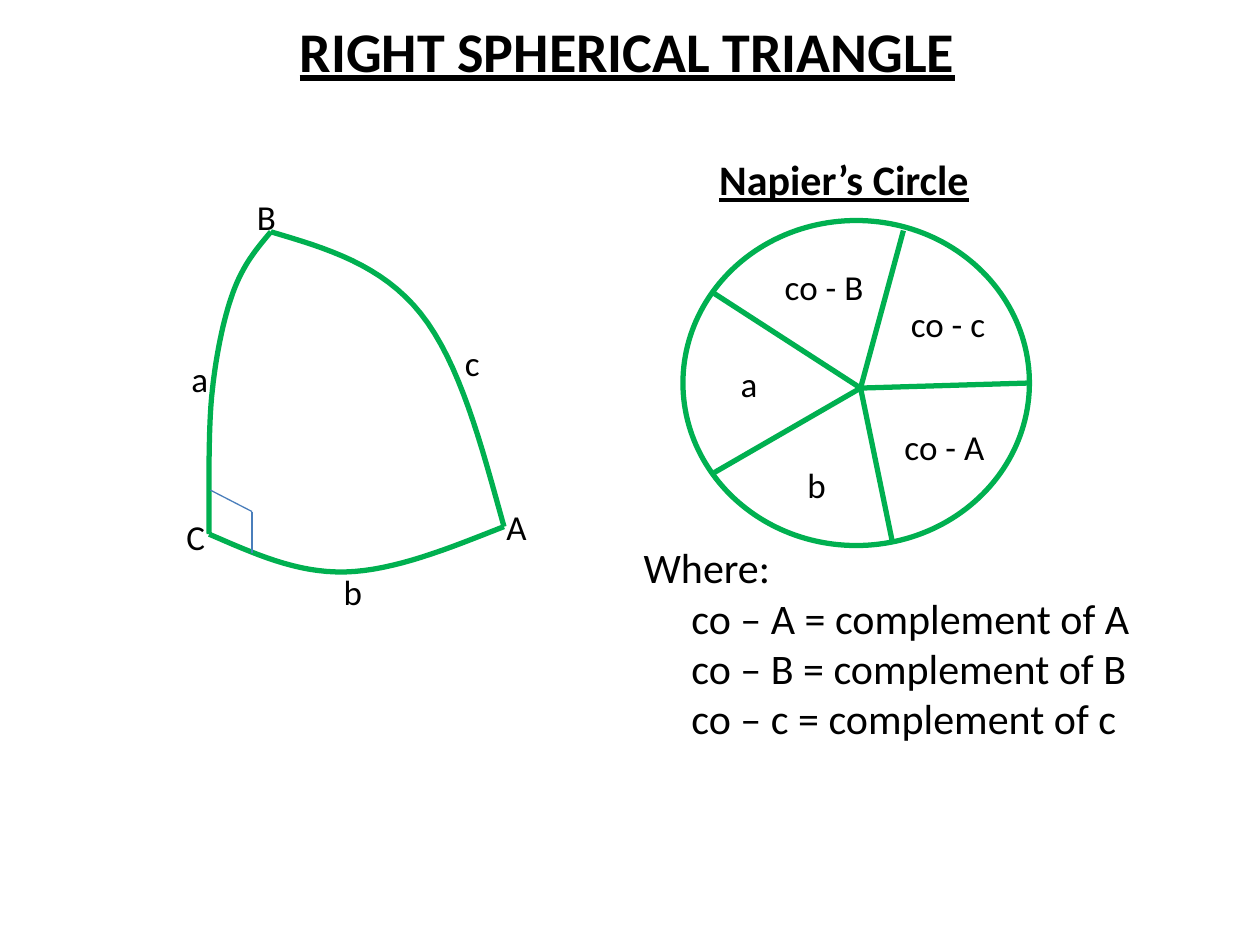
from typing import NamedTuple

from lxml.etree import SubElement
from pptx import Presentation
from pptx.dml.color import RGBColor
from pptx.enum.shapes import MSO_CONNECTOR, MSO_SHAPE
from pptx.enum.text import MSO_ANCHOR, MSO_AUTO_SIZE, PP_ALIGN
from pptx.oxml.ns import qn
from pptx.util import Inches, Pt

COLORS = {"text": "000000", "figure": "00B050", "right_angle": "4A7EBB"}
FONT = "Calibri"
LABEL_HEIGHT = 0.44
CURVE_STEPS = 16


class Point(NamedTuple):
    x: float
    y: float


class Label(NamedTuple):
    text: str
    left: float
    top: float
    width: float


class Arc(NamedTuple):
    """A chain of cubic Bezier curves: a start, then three points per curve."""
    points: list[tuple[float, float]]


VERTEX_A, VERTEX_B, VERTEX_C = Point(4, 4.18), Point(2.15, 1.84), Point(1.66, 4.24)
SIDES = [
    Arc([VERTEX_B, (2.04, 1.97), (1.93, 2.1), (1.85, 2.32),
         (1.77, 2.54), (1.71, 2.84), (1.68, 3.15),
         (1.65, 3.47), (1.66, 4.05), VERTEX_C]),
    Arc([VERTEX_B, (2.59, 1.97), (3.03, 2.1), (3.34, 2.49),
         (3.65, 2.88), (3.82, 3.53), VERTEX_A]),
    Arc([VERTEX_C, (2.01, 4.39), (2.35, 4.55), (2.74, 4.54),
         (3.13, 4.53), (3.57, 4.35), VERTEX_A]),
]
RIGHT_ANGLE = [Point(1.67, 3.89), Point(2, 4.06), Point(2, 4.39)]
TRIANGLE_LABELS = [
    Label("a", 1.42, 2.79, 0.33),
    Label("c", 3.59, 2.66, 0.32),
    Label("b", 2.63, 4.48, 0.34),
    Label("B", 1.94, 1.5, 0.35),
    Label("A", 3.92, 3.96, 0.36),
    Label("C", 1.38, 4.04, 0.35),
]

HUB = Point(6.83, 3.08)
SPOKE_ENDS = [Point(5.67, 2.33), Point(7.17, 1.83), Point(8.17, 3.04),
              Point(7.08, 4.29), Point(5.67, 3.75)]
CIRCLE_LABELS = [
    Label("a", 5.78, 2.83, 0.33),
    Label("b", 6.31, 3.63, 0.34),
    Label("co - A", 7.08, 3.33, 0.85),
    Label("co - c", 7.13, 2.35, 0.81),
    Label("co - B", 6.13, 2.06, 0.84),
]


def place(shape, left: float, top: float, width: float, height: float) -> None:
    shape.left, shape.top = Inches(left), Inches(top)
    shape.width, shape.height = Inches(width), Inches(height)


def write(paragraph, text: str, *, size: float = 20, bold: bool = False,
          underline: bool = False, align=PP_ALIGN.LEFT, indent: float = 0,
          spacing: float = 0) -> None:
    """Add a run; spacing is extra letter spacing in points."""
    paragraph.alignment = align
    if indent:
        paragraph._p.get_or_add_pPr().set("marL", str(Inches(indent)))
    run = paragraph.add_run()
    run.text = text
    if spacing:
        run._r.get_or_add_rPr().set("spc", str(round(spacing * 100)))
    font = run.font
    font.name, font.size = FONT, Pt(size)
    font.bold, font.underline = bold, underline
    font.color.rgb = RGBColor.from_string(COLORS["text"])


def add_text_frame(slide, left: float, top: float, width: float, height: float):
    """Add a text box that grows with its text and never breaks a line."""
    box = slide.shapes.add_textbox(Inches(left), Inches(top), Inches(width), Inches(height))
    box.text_frame.word_wrap = False
    box.text_frame.auto_size = MSO_AUTO_SIZE.SHAPE_TO_FIT_TEXT
    return box.text_frame


def add_labels(slide, labels: list[Label]) -> None:
    for label in labels:
        frame = add_text_frame(slide, label.left, label.top, label.width, LABEL_HEIGHT)
        write(frame.paragraphs[0], label.text)


def style_outline(shape) -> None:
    shape.fill.background()
    shape.line.color.rgb = RGBColor.from_string(COLORS["figure"])
    shape.line.width = Pt(3)
    shape.shadow.inherit = False


def add_line(slide, start: Point, end: Point, color: str, width: float) -> None:
    line = slide.shapes.add_connector(
        MSO_CONNECTOR.STRAIGHT, Inches(start.x), Inches(start.y), Inches(end.x), Inches(end.y))
    line.line.color.rgb = RGBColor.from_string(COLORS[color])
    line.line.width = Pt(width)
    SubElement(line._element.spPr, qn("a:effectLst"))


def bezier_point(curve: list[tuple[float, float]], t: float) -> tuple[int, int]:
    weights = ((1 - t) ** 3, 3 * t * (1 - t) ** 2, 3 * t ** 2 * (1 - t), t ** 3)
    x, y = (sum(w * value for w, value in zip(weights, axis)) for axis in zip(*curve))
    return Inches(x), Inches(y)


def add_arc(slide, arc: Arc) -> None:
    points = arc.points
    vertices = [bezier_point(points[first:first + 4], step / CURVE_STEPS)
                for first in range(0, len(points) - 1, 3)
                for step in range(1, CURVE_STEPS + 1)]
    start_x, start_y = points[0]
    builder = slide.shapes.build_freeform(Inches(start_x), Inches(start_y))
    builder.add_line_segments(vertices, close=False)
    style_outline(builder.convert_to_shape())


def add_title(slide) -> None:
    title = slide.shapes.title
    place(title, 1.94, 0.08, 6.08, 0.64)
    frame = title.text_frame
    frame.auto_size = MSO_AUTO_SIZE.NONE
    frame.vertical_anchor = MSO_ANCHOR.TOP
    write(frame.paragraphs[0], "RIGHT SPHERICAL TRIANGLE", size=32, bold=True,
          underline=True, align=PP_ALIGN.CENTER)


def add_triangle(slide) -> None:
    for side in SIDES:
        add_arc(slide, side)
    add_labels(slide, TRIANGLE_LABELS)
    for start, end in zip(RIGHT_ANGLE, RIGHT_ANGLE[1:]):
        add_line(slide, start, end, "right_angle", 0.75)


def add_napier_circle(slide) -> None:
    circle = slide.shapes.add_shape(
        MSO_SHAPE.OVAL, Inches(5.42), Inches(1.75), Inches(2.75), Inches(2.58))
    style_outline(circle)
    for end in SPOKE_ENDS:
        add_line(slide, HUB, end, "figure", 3)
    add_labels(slide, CIRCLE_LABELS)


def add_legend(slide) -> None:
    frame = add_text_frame(slide, 5.01, 4.25, 4.26, 1.7)
    write(frame.paragraphs[0], "Where:", size=24)
    for part in "ABc":
        write(frame.add_paragraph(), f"co – {part} = complement of {part}",
              size=24, indent=0.38)


def add_circle_heading(slide) -> None:
    """Join the words with one tightened em space, so the underline stays whole."""
    heading = add_text_frame(slide, 5.61, 1.17, 2.34, 0.5).paragraphs[0]
    for text, spacing in (("Napier’s", 0), (" ", -7.7), ("Circle", 0)):
        write(heading, text, size=24, bold=True, underline=True, spacing=spacing)


def main() -> None:
    presentation = Presentation()
    presentation.slide_width, presentation.slide_height = Inches(10), Inches(7.5)
    slide = presentation.slides.add_slide(presentation.slide_layouts[5])
    add_title(slide)
    add_triangle(slide)
    add_napier_circle(slide)
    add_legend(slide)
    add_circle_heading(slide)
    presentation.save("out.pptx")


if __name__ == "__main__":
    main()
